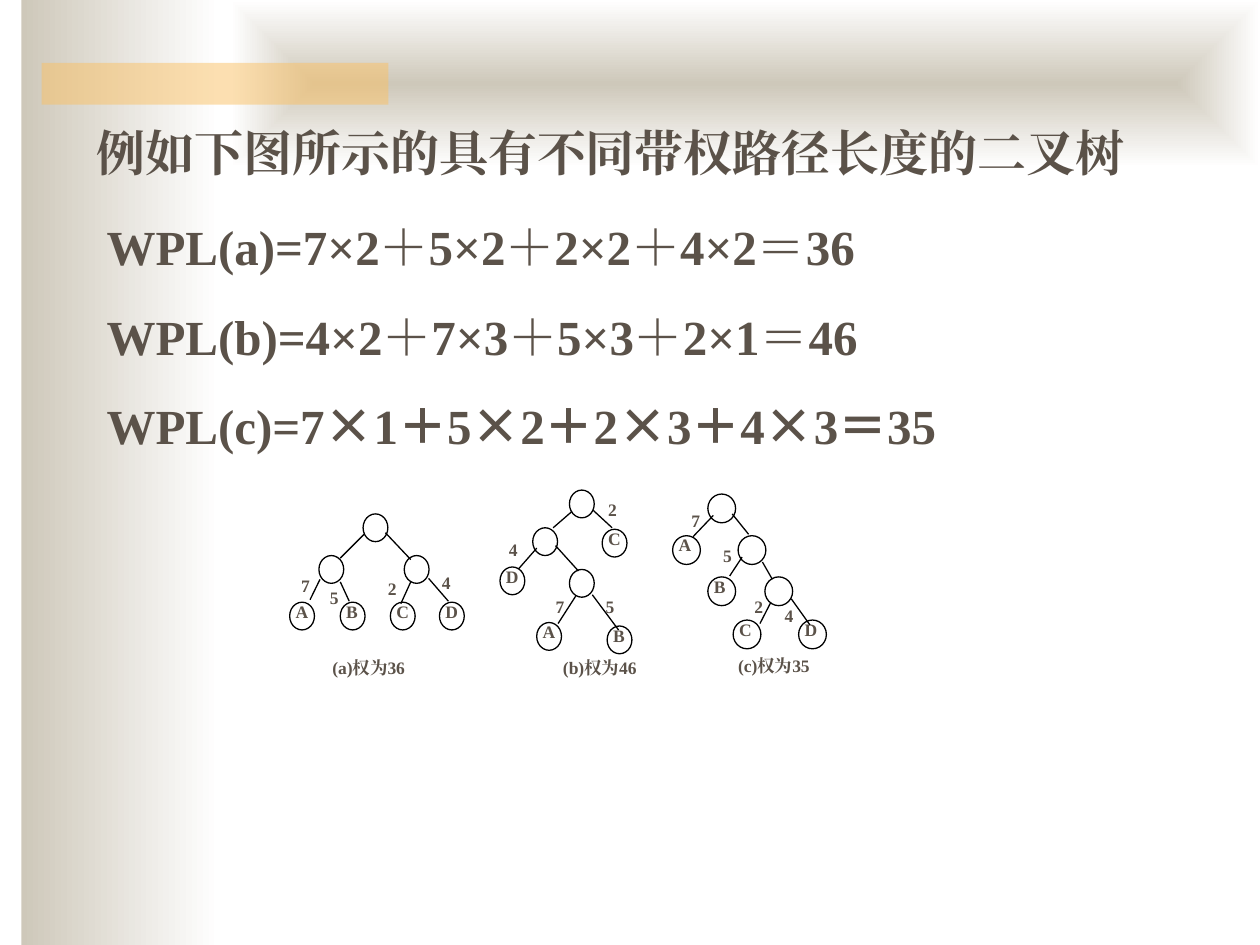
from lxml.etree import SubElement
from pptx import Presentation
from pptx.dml.color import RGBColor
from pptx.enum.shapes import MSO_CONNECTOR as Connector, MSO_SHAPE as Shape
from pptx.enum.text import PP_ALIGN as Align
from pptx.oxml import parse_xml
from pptx.oxml.ns import nsdecls, qn
from pptx.util import Cm, Pt

TAN = RGBColor(0xCE, 0xC8, 0xBA)
WHITE = RGBColor(0xFF, 0xFF, 0xFF)
AMBER = RGBColor(0xFA, 0xC1, 0x64)
BROWN = RGBColor(0x5B, 0x52, 0x49)
BLACK = RGBColor(0, 0, 0)
SERIF = "Times New Roman"
CJK = "Noto Sans CJK SC"
WIDE_SYMBOLS = "×＋＝"


def add_text(shapes, box, paragraphs, size=10, align=Align.JUSTIFY, line=None, before=17.5):
    frame = shapes.add_textbox(*map(Cm, box)).text_frame
    frame.word_wrap = True
    for index, pieces in enumerate(paragraphs):
        paragraph = frame.add_paragraph() if index else frame.paragraphs[0]
        paragraph.alignment = align
        if line:
            paragraph.line_spacing = Pt(line)
        if index:
            paragraph.space_before = Pt(before)
        for piece in pieces:
            run = paragraph.add_run()
            run.text = piece
            run.font.size = Pt(size)
            run.font.bold = True
            run.font.color.rgb = BROWN
            run.font.name = CJK if piece in WIDE_SYMBOLS else SERIF
            SubElement(run.font._element, qn("a:ea")).set("typeface", run.font.name)


def add_outline(shapes, kind, box):
    shape = shapes.add_shape(kind, *map(Cm, box))
    shape.shadow.inherit = False
    return shape


deck = Presentation()
deck.slide_width, deck.slide_height = Cm(25.4), Cm(19.05)
slide = deck.slides.add_slide(deck.slide_layouts[6])

side_band = add_outline(slide.shapes, Shape.RECTANGLE, (0.43, 0, 4.01, 19.05))
top_band = add_outline(slide.shapes, Shape.RECTANGLE, (4.65, 0, 20.75, 3.38))
for band in (side_band, top_band):
    band.line.fill.background()
    band.fill.gradient()
    band.fill.gradient_angle = 0
    for stop, color, position in zip(band.fill.gradient_stops, (TAN, WHITE), (0, 1)):
        stop.color.rgb = color
        stop.position = position
linear = top_band._element.spPr.find(".//" + qn("a:lin"))
linear.getparent().replace(linear, parse_xml(
    f'<a:path {nsdecls("a")} path="rect">'
    '<a:fillToRect l="50000" t="50000" r="50000" b="50000"/></a:path>'))

accent_bar = add_outline(slide.shapes, Shape.RECTANGLE, (0.84, 1.27, 6.99, 0.84))
accent_bar.line.fill.background()
accent_bar.fill.solid()
accent_bar.fill.fore_color.rgb = AMBER
amber = accent_bar._element.spPr.find(".//" + qn("a:srgbClr"))
SubElement(amber, qn("a:alpha")).set("val", "50000")

add_text(slide.shapes, (1.7, 2.34, 22.66, 1.45), [["例如下图所示的具有不同带权路径长度的二叉树"]],
         size=28, align=Align.LEFT, line=33.7)
add_text(slide.shapes, (1.9, 4.24, 22.66, 5.05), [
    ["WPL(a)=7×2＋5×2＋2×2＋4×2＝36"],
    ["WPL(b)=4×2＋7×3＋5×3＋2×1＝46"],
    ["WPL(c)=7", *"×1＋5×2＋2×3＋4×3＝", "35"],
], size=28, line=33.7)

trees = [
    {
        "node": (0.5, 0.56),
        "nodes": [(7.32, 10.36, ""), (6.43, 11.2, ""), (8.15, 11.2, ""), (5.84, 12.14, "A"),
                  (6.86, 12.14, "B"), (7.87, 12.14, "C"), (8.86, 12.14, "D")],
        "edges": [(7.34, 10.77, 6.86, 11.25), (7.77, 10.74, 8.28, 11.28),
                  (6.45, 11.68, 6.25, 12.09), (6.86, 11.73, 7.04, 12.12),
                  (8.28, 11.73, 8.08, 12.17), (8.64, 11.66, 9.04, 12.12)],
        "weights": [(5.82, 11.46, "7"), (6.4, 11.71, "5"), (7.57, 11.53, "2"), (8.66, 11.4, "4")],
        "caption": (6.45, 13.13, 2.34, "(a)权为36"),
    },
    {
        "node": (0.5, 0.56),
        "nodes": [(11.48, 9.88, ""), (10.74, 10.64, ""), (12.14, 10.67, "C"), (11.48, 11.48, ""),
                  (12.24, 12.62, "B"), (10.08, 11.43, "D"), (10.82, 12.55, "A")],
        "edges": [(11.53, 10.31, 11.15, 10.64), (11.96, 10.29, 12.34, 10.64),
                  (10.82, 11.05, 10.46, 11.46), (11.2, 11, 11.66, 11.51),
                  (11.61, 12.01, 11.25, 12.57), (11.94, 11.99, 12.47, 12.7)],
        "weights": [(10.95, 11.89, "7"), (11.96, 11.89, "5"), (12.01, 9.93, "2"), (10.01, 10.74, "4")],
        "caption": (11.1, 13.13, 2.44, "(b)权为46"),
    },
    {
        "node": (0.56, 0.58),
        "nodes": [(14.27, 9.96, ""), (13.56, 10.8, "A"), (14.88, 10.8, ""), (14.27, 11.63, "B"),
                  (15.42, 11.63, ""), (14.78, 12.5, "C"), (16.1, 12.5, "D")],
        "edges": [(14.38, 10.39, 13.97, 10.82), (14.76, 10.36, 15.09, 10.77),
                  (14.96, 11.23, 14.71, 11.61), (15.37, 11.33, 15.57, 11.68),
                  (15.54, 12.14, 15.32, 12.57), (15.95, 12.07, 16.33, 12.6)],
        "weights": [(13.69, 10.16, "7"), (14.33, 10.87, "5"), (14.96, 11.89, "2"), (15.57, 12.07, "4")],
        "caption": (14.63, 13.08, 2.57, "(c)权为35"),
    },
]

for tree in trees:
    branch = slide.shapes.add_group_shape().shapes
    width, height = tree["node"]
    for left, top, letter in tree["nodes"]:
        if letter:
            add_text(branch, (left - 0.13, top - 0.15, width + 0.26, 0.81), [[letter]])
        node = add_outline(branch, Shape.OVAL, (left, top, width, height))
        node.fill.background()
        node.line.color.rgb = BLACK
        node.line.width = Pt(0.75)
    for ends in tree["edges"]:
        edge = branch.add_connector(Connector.STRAIGHT, *map(Cm, ends))
        edge.line.color.rgb = BLACK
        edge.line.width = Pt(0.75)
        SubElement(edge._element.spPr, qn("a:effectLst"))
    for left, top, weight in tree["weights"]:
        add_text(branch, (left, top, 0.74, 0.79), [[weight]])
    left, top, width, caption = tree["caption"]
    add_text(branch, (left, top, width, 0.91), [[caption]])

deck.save("out.pptx")
